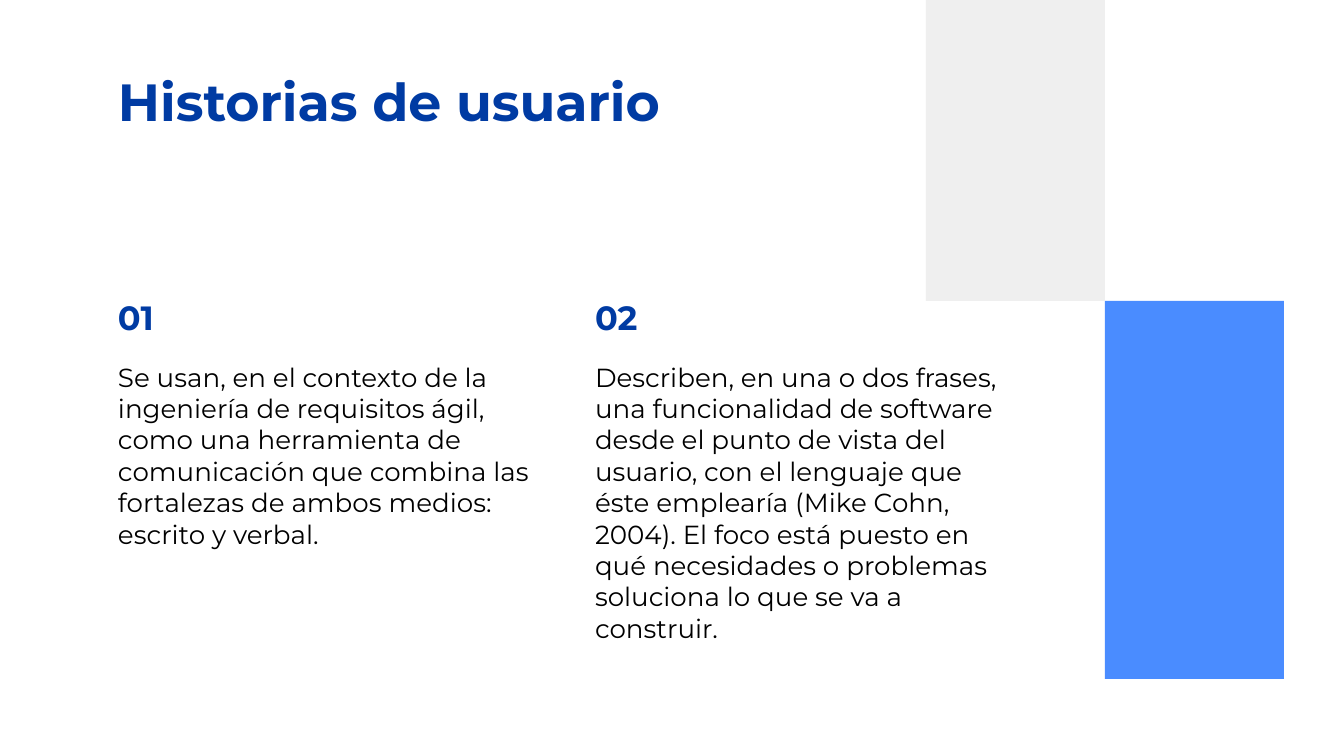
"""Build the "Historias de usuario" slide with two numbered columns."""
from dataclasses import dataclass

import pptx
import pptx.dml.color
import pptx.enum.shapes
import pptx.enum.text
import pptx.oxml.ns
import pptx.util
from lxml import etree

EMU_PER_PX = 9144000 / 1344
FONT = "Montserrat"
COLORS = {"navy": "003BA3", "text": "000000", "blue": "4A8CFF", "gray": "EFEFEF"}
INSET = 13
LEFT, COL_STEP, COL_W = 105, 477, 439
HEAD_TOP, HEAD_H = 284, 69
BODY_TOP, BODY_H = 348, 188
BLOCK_X, BLOCK_W, BLOCK_SPLIT = 926, 179, 301


@dataclass(frozen=True)
class Box:
    x: int
    y: int
    w: int
    h: int


@dataclass(frozen=True)
class Style:
    size: int
    color: str
    bold: bool = False
    after: int = 0


@dataclass(frozen=True)
class Column:
    number: str
    text: str


@dataclass(frozen=True)
class Block:
    box: Box
    color: str


TITLE = Style(28, "navy", True)
HEAD = Style(18, "navy", True, 16)
BODY = Style(14, "text")

COLUMNS = [
    Column("01", "Se usan, en el contexto de la ingeniería de requisitos ágil, "
                 "como una herramienta de comunicación que combina las "
                 "fortalezas de ambos medios: escrito y verbal."),
    Column("02", "Describen, en una o dos frases, una funcionalidad de software "
                 "desde el punto de vista del usuario, con el lenguaje que éste "
                 "emplearía (Mike Cohn, 2004). El foco está puesto en qué "
                 "necesidades o problemas soluciona lo que se va a construir."),
]
BLOCKS = [
    Block(Box(BLOCK_X + BLOCK_W, BLOCK_SPLIT, BLOCK_W, 378), "blue"),
    Block(Box(BLOCK_X, 0, BLOCK_W, BLOCK_SPLIT), "gray"),
]


def px(n: int) -> pptx.util.Emu:
    """Turn pixels into EMU."""
    return pptx.util.Emu(round(n * EMU_PER_PX))


def rgb(name: str) -> pptx.dml.color.RGBColor:
    """Look up a named colour."""
    return pptx.dml.color.RGBColor.from_string(COLORS[name])


def fill_placeholder(sp, box: Box, text: str, style: Style) -> None:
    """Place a placeholder and write one formatted paragraph in it."""
    sp.left, sp.top, sp.width, sp.height = map(px, (box.x, box.y, box.w, box.h))
    tf = sp.text_frame
    tf.word_wrap = True
    tf.auto_size = pptx.enum.text.MSO_AUTO_SIZE.NONE
    tf.vertical_anchor = pptx.enum.text.MSO_ANCHOR.TOP
    tf.margin_left = tf.margin_top = tf.margin_right = tf.margin_bottom = px(INSET)
    p = tf.paragraphs[0]
    p.alignment = pptx.enum.text.PP_ALIGN.LEFT
    p.space_before = pptx.util.Pt(0)
    p.space_after = pptx.util.Pt(style.after)
    pPr = p._p.get_or_add_pPr()
    pPr.set("marL", "0")
    pPr.set("indent", "0")
    etree.SubElement(pPr, pptx.oxml.ns.qn("a:buNone"))
    r = p.add_run()
    r.text = text
    r.font.name = FONT
    r.font.size = pptx.util.Pt(style.size)
    r.font.bold = style.bold
    r.font.color.rgb = rgb(style.color)


def add_block(s, block: Block) -> None:
    """Draw a plain coloured rectangle."""
    b = block.box
    sp = s.shapes.add_shape(pptx.enum.shapes.MSO_SHAPE.RECTANGLE,
                            px(b.x), px(b.y), px(b.w), px(b.h))
    sp.shadow.inherit = False
    sp.fill.solid()
    sp.fill.fore_color.rgb = rgb(block.color)
    sp.line.fill.background()


def main() -> None:
    """Build and save the slide."""
    prs = pptx.Presentation()
    prs.slide_width, prs.slide_height = px(1344), px(756)
    s = prs.slides.add_slide(prs.slide_layouts.get_by_name("Comparison"))
    title, *parts = s.placeholders
    fill_placeholder(title, Box(LEFT, 56, 1134, 85), "Historias de usuario", TITLE)
    for i, column in enumerate(COLUMNS):
        x = LEFT + i * COL_STEP
        head, body = parts[2 * i:2 * i + 2]
        fill_placeholder(head, Box(x, HEAD_TOP, COL_W, HEAD_H), column.number, HEAD)
        fill_placeholder(body, Box(x, BODY_TOP, COL_W, BODY_H), column.text, BODY)
    for block in BLOCKS:
        add_block(s, block)
    prs.save("out.pptx")


if __name__ == "__main__":
    main()
